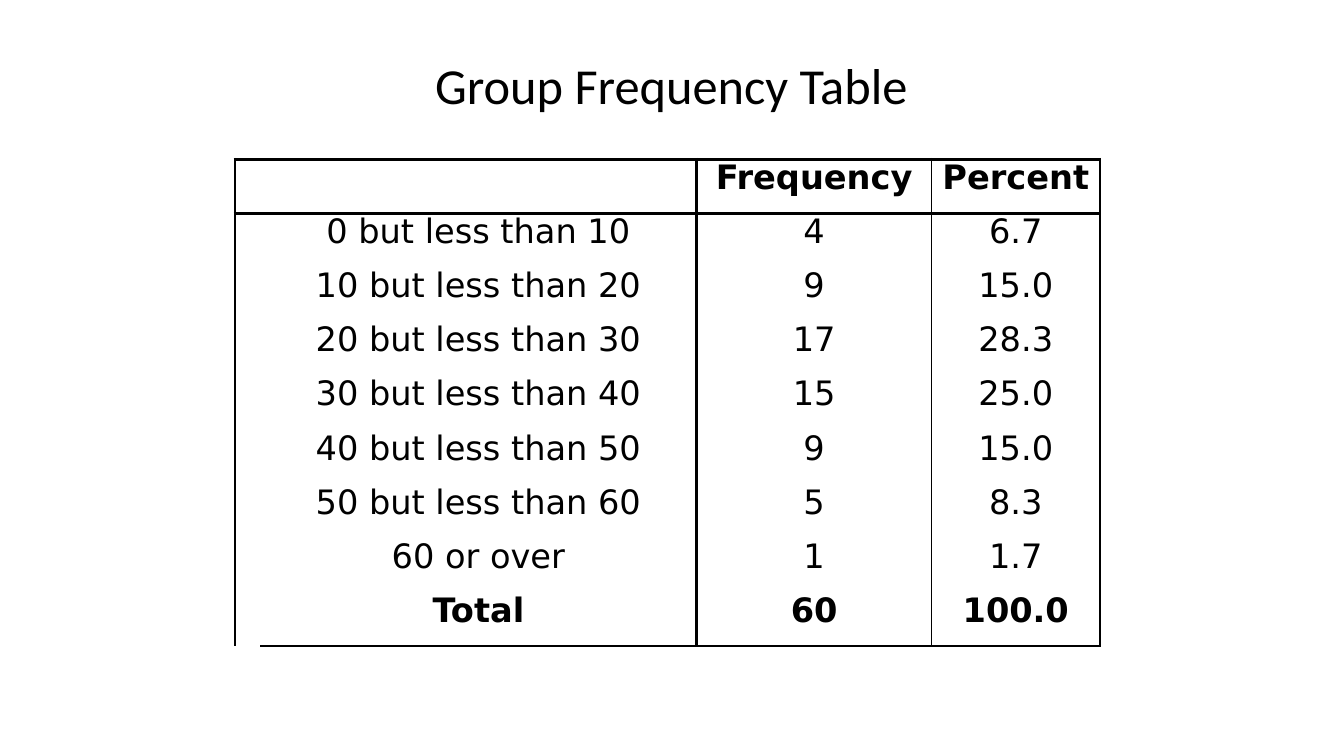
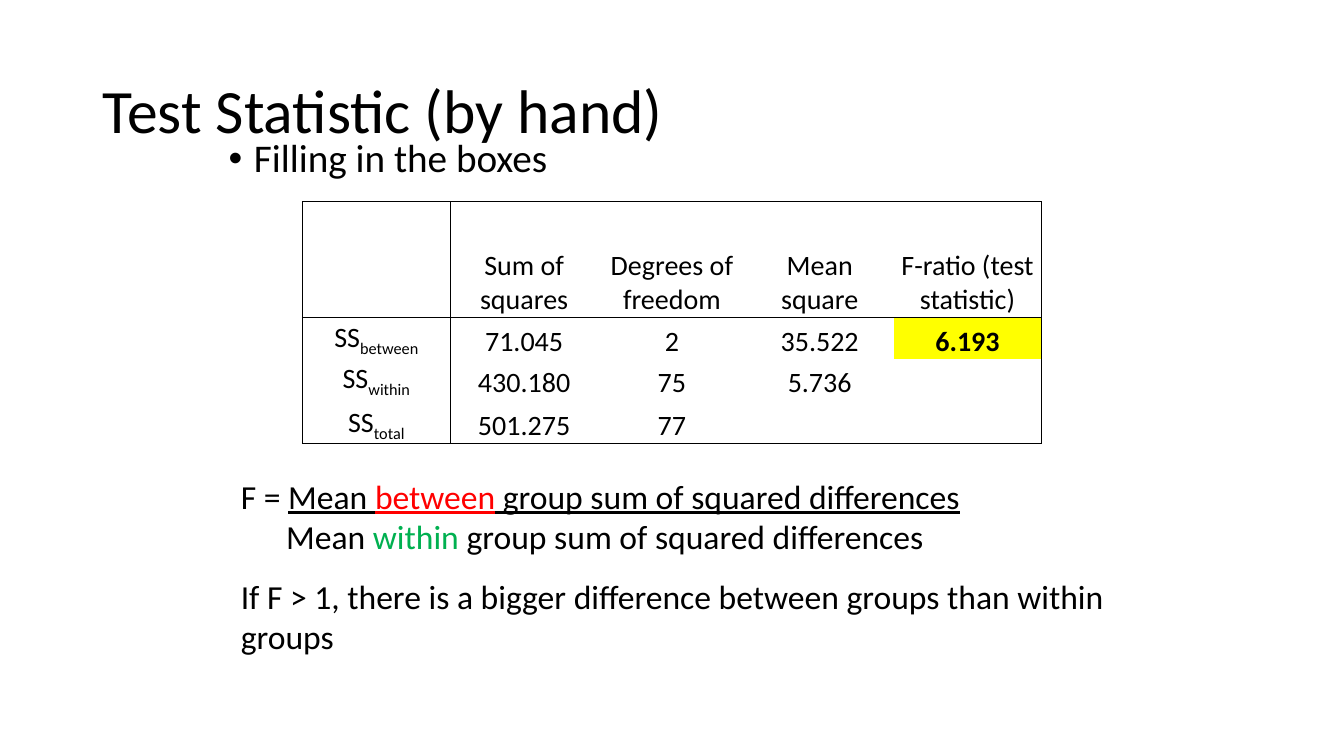
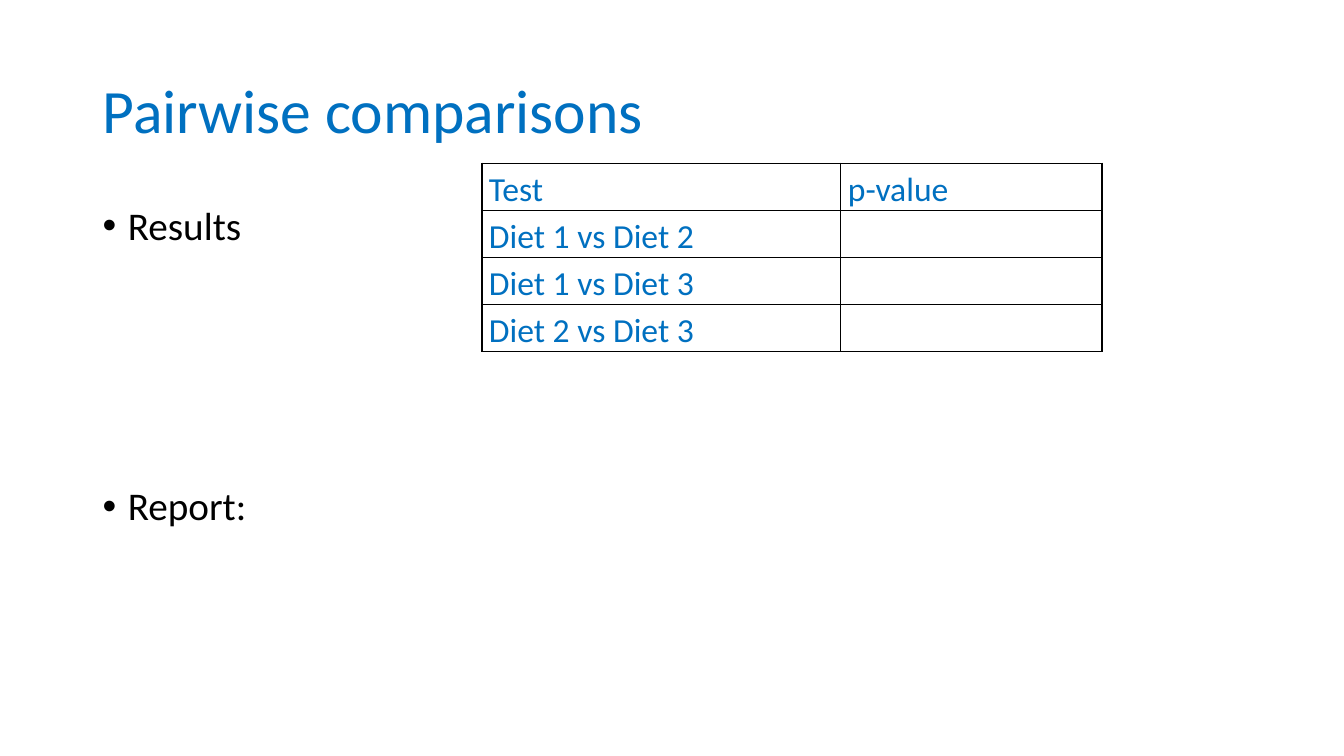
"""Build three statistics slides: a frequency table, an F-ratio table and pairwise comparisons."""
from lxml import etree
from pptx import Presentation
from pptx.dml.color import RGBColor
from pptx.enum import text
from pptx.oxml import ns
from pptx.util import Inches, Pt

BLACK = RGBColor(0x00, 0x00, 0x00)
WHITE = RGBColor(0xFF, 0xFF, 0xFF)
BLUE = RGBColor(0x00, 0x70, 0xC0)
RED = RGBColor(0xFF, 0x00, 0x00)
GREEN = RGBColor(0x00, 0xB0, 0x50)
YELLOW = RGBColor(0xFF, 0xFF, 0x00)
LEFT, CENTER = text.PP_ALIGN.LEFT, text.PP_ALIGN.CENTER
TOP, MIDDLE, BOTTOM = text.MSO_ANCHOR.TOP, text.MSO_ANCHOR.MIDDLE, text.MSO_ANCHOR.BOTTOM
NO_STYLE = "{2D5ABB26-0587-4C30-8999-92F81FD0307C}"


def write(tf, runs, size=24, color=BLACK, font="Calibri", align=LEFT, spacing=1.0,
          before=0, indent=0, bullet=False):
    """Add a paragraph; runs is a string or a list of (string, run format) pairs."""
    p = tf.add_paragraph() if tf.paragraphs[0].runs else tf.paragraphs[0]
    p.alignment, p.line_spacing, p.space_before = align, spacing, Pt(before)
    pPr = p._p.get_or_add_pPr()
    pPr.set("marL", str(Inches(indent)))
    if bullet:
        pPr.set("indent", str(-Inches(indent)))
        etree.SubElement(pPr, ns.qn("a:buFont"), typeface="Arial")
        etree.SubElement(pPr, ns.qn("a:buChar"), char="•")
    for words, look in [(runs, {})] if isinstance(runs, str) else runs:
        r = p.add_run()
        r.text = words
        r.font.size, r.font.name = Pt(size), font
        r.font.color.rgb = look.get("color", color)
        r.font.underline = look.get("underline", False)
        if "baseline" in look:
            r.font._element.set("baseline", str(look["baseline"]))


def add_table(s, left, top, widths, heights, rows, h_lines, v_lines, margins, anchor,
              fill=None, **fmt):
    """Draw a table whose rules are given as {grid line index: points}."""
    table = s.shapes.add_table(len(heights), len(widths), Inches(left), Inches(top),
                               Inches(sum(widths)), Inches(sum(heights))).table
    table.first_row = table.horz_banding = False
    table._tbl.tblPr[0].text = NO_STYLE
    for col, width in zip(table.columns, widths):
        col.width = Inches(width)
    for i, height in enumerate(heights):
        table.rows[i].height = Inches(height)
        for j, words in enumerate(rows[i]):
            cell = table.cell(i, j)
            cell.vertical_anchor = anchor
            (cell.margin_left, cell.margin_top,
             cell.margin_right, cell.margin_bottom) = map(Inches, margins)
            tcPr = cell._tc.get_or_add_tcPr()
            for tag, points in (("lnL", v_lines.get(j)), ("lnR", v_lines.get(j + 1)),
                                ("lnT", h_lines.get(i)), ("lnB", h_lines.get(i + 1))):
                ln = etree.SubElement(tcPr, ns.qn("a:" + tag), w=str(Pt(points or 0)))
                if points:
                    solid = etree.SubElement(ln, ns.qn("a:solidFill"))
                    etree.SubElement(solid, ns.qn("a:srgbClr"), val=str(BLACK))
                else:
                    etree.SubElement(ln, ns.qn("a:noFill"))
            if fill is None:
                cell.fill.background()
            else:
                cell.fill.solid()
                cell.fill.fore_color.rgb = fill
            if words:
                write(cell.text_frame, words, **fmt)
    return table


prs = Presentation()
prs.slide_width, prs.slide_height = Inches(13.33), Inches(7.5)
frequency, anova, pairwise = [prs.slides.add_slide(prs.slide_layouts[6]) for _ in range(3)]

TITLE_BOX = (0.92, 0.4, 11.5, 1.45)
title = dict(size=44, spacing=0.9)
bullet = dict(size=28, spacing=0.9, indent=0.25, bullet=True)
boxes = [
    (frequency, (2.41, 0.25, 8.5, 1.25), MIDDLE,
     [("Group Frequency Table", dict(title, size=36, align=CENTER))]),
    (anova, (2.17, 1.33, 9, 5.24), TOP, [("Filling in the boxes", dict(bullet, before=10))]),
    (anova, TITLE_BOX, MIDDLE, [("Test Statistic (by hand)", title)]),
    (anova, (2.17, 4.67, 9, 1.92), TOP, [
        ([("F = ", {}), ("Mean ", {"underline": True}),
          ("between", {"underline": True, "color": RED}),
          (" group sum of squared differences", {"underline": True})], dict(indent=0.12)),
        ([("Mean ", {}), ("within", {"color": GREEN}),
          (" group sum of squared differences", {})], dict(indent=0.57)),
        ("If F > 1, there is a bigger difference between groups than within groups",
         dict(indent=0.12, before=14)),
    ]),
    (pairwise, (0.92, 2, 11.5, 4.76), TOP, [
        ("Results", dict(bullet, before=10)), ("Report:", dict(bullet, before=170))]),
    (pairwise, TITLE_BOX, MIDDLE, [("Pairwise comparisons", dict(title, color=BLUE))]),
]
for s, at, anchor, paragraphs in boxes:
    tf = s.shapes.add_textbox(*map(Inches, at)).text_frame
    tf.word_wrap, tf.vertical_anchor = True, anchor
    for words, fmt in paragraphs:
        write(tf, words, **fmt)

groups = [
    ["", "", "Frequency", "Percent"],
    ["", "0 but less than 10", "4", "6.7"],
    ["", "10 but less than 20", "9", "15.0"],
    ["", "20 but less than 30", "17", "28.3"],
    ["", "30 but less than 40", "15", "25.0"],
    ["", "40 but less than 50", "9", "15.0"],
    ["", "50 but less than 60", "5", "8.3"],
    ["", "60 or over", "1", "1.7"],
    ["", "Total", "60", "100.0"],
]
table = add_table(frequency, 2.33, 1.58, [0.25, 4.33, 2.33, 1.67], [4.83 / 9] * 9, groups,
                  {0: 2.25, 1: 2.25, 9: 2.25}, {0: 2.25, 2: 2.25, 3: 1, 4: 2.25},
                  [0.02] * 4, MIDDLE, fill=WHITE, font="DejaVu Sans", align=CENTER,
                  spacing=Pt(16))
table.cell(1, 0).merge(table.cell(8, 0))
for i in (0, 8):
    for cell in table.rows[i].cells:
        for r in cell.text_frame.paragraphs[0].runs:
            r.font.bold = True

between, within, total = [[("SS", {}), (name, {"baseline": -25000})]
                          for name in ("between", "within", "total")]
sums = [
    ["", "Sum of squares", "Degrees of freedom", "Mean square", "F-ratio (test statistic)"],
    [between, "71.045", "2", "35.522", "6.193"],
    [within, "430.180", "75", "5.736", ""],
    [total, "501.275", "77", "", ""],
]
table = add_table(anova, 3, 2, [7.33 / 5] * 5, [1.15, 0.41, 0.41, 0.43], sums,
                  {0: 1, 1: 1, 4: 1}, {0: 1, 1: 1, 5: 1}, [0.01, 0.01, 0.01, 0], BOTTOM,
                  size=20, align=CENTER)
f_ratio = table.cell(1, 4)
f_ratio.fill.solid()
f_ratio.fill.fore_color.rgb = YELLOW
f_ratio.text_frame.paragraphs[0].runs[0].font.bold = True

tests = [["Test", "p-value"]] + [[f"Diet {a} vs Diet {b}", ""] for a, b in ((1, 2), (1, 3), (2, 3))]
add_table(pairwise, 4.78, 1.62, [3.56, 2.59], [1.87 / 4] * 4, tests,
          dict.fromkeys(range(5), 1), dict.fromkeys(range(3), 1), [0.07, 0, 0.07, 0], TOP,
          color=BLUE, spacing=1.15)

prs.save("out.pptx")
